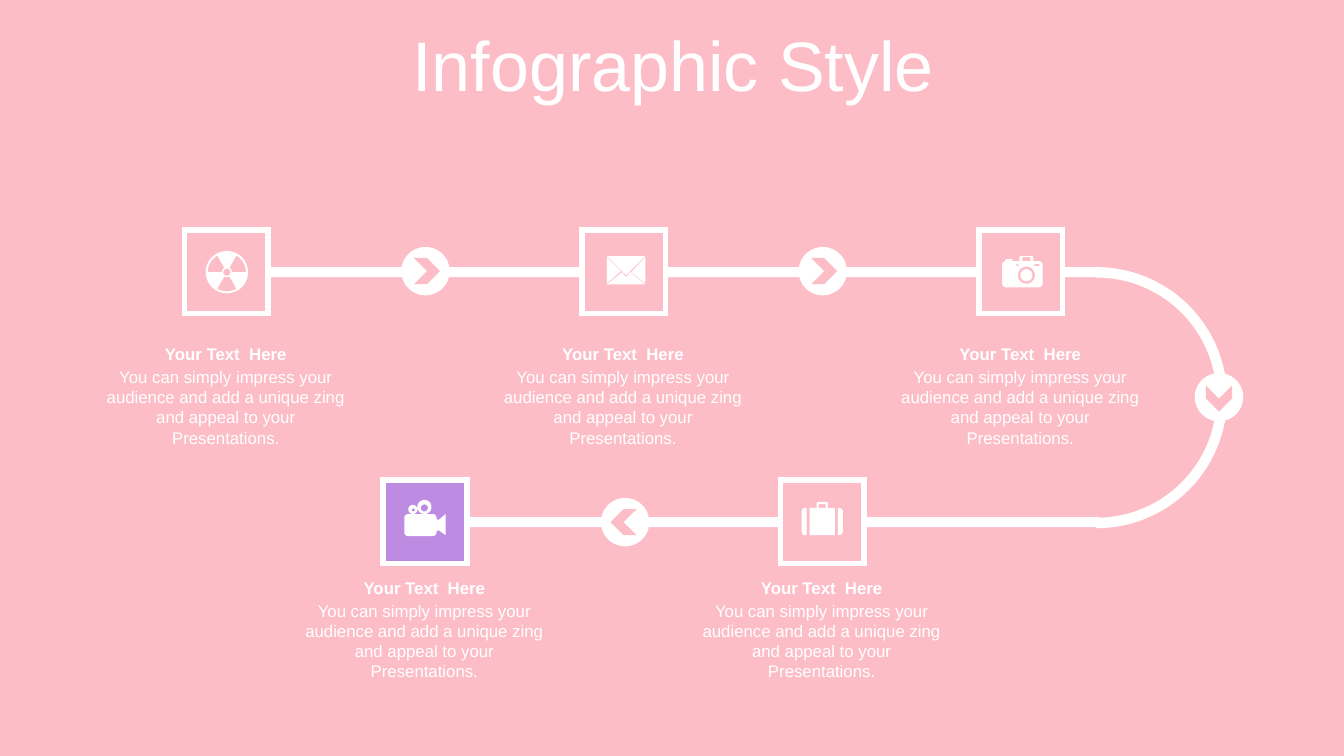
"""Build a winding five-step infographic slide with icons and captions."""
from math import cos, radians, sin

from pptx import Presentation
from pptx.dml.color import RGBColor
from pptx.enum.shapes import MSO_SHAPE as SHAPE
from pptx.enum.text import MSO_ANCHOR as ANCHOR, PP_ALIGN as ALIGN
from pptx.oxml.ns import qn
from pptx.util import Inches, Pt

PINK = RGBColor(0xFD, 0xBD, 0xC7)
WHITE = RGBColor(0xFF, 0xFF, 0xFF)
PURPLE = RGBColor(0xBE, 0x8B, 0xE2)


def arc(cx, cy, radius, start=0, end=360):
    steps = max(2, abs(end - start) // 10)
    angles = [radians(start + (end - start) * i / steps) for i in range(steps + 1)]
    return [(cx + radius * cos(a), cy + radius * sin(a)) for a in angles]


def box(x, y, w, h):
    return [(x, y), (x + w, y), (x + w, y + h), (x, y + h)]


RADIATION = [arc(42, 42, 21), arc(42, 42, 3.5)] + [
    arc(42, 42, 19, a, a + 60) + arc(42, 42, 5, a + 60, a) for a in (60, 180, 300)]
ENVELOPE = [
    [(48, 42), (63, 54), (25, 54), (40, 42), (44, 47)],
    [(63, 27), (63, 53), (49, 42)],
    [(25, 27), (39, 41), (25, 53)],
    [(25, 26), (63, 26), (44, 45)],
]
CAMERA = [
    [(23, 34), (24, 32), (26, 31), (26, 30), (27, 29), (33, 29), (33, 31), (40, 31),
     (40, 27), (41, 26), (53, 26), (54, 27), (54, 31), (60, 31), (62, 32), (63, 34),
     (63, 54), (62, 56), (60, 57), (26, 57), (24, 56), (23, 54)],
    box(43, 27, 8, 4), box(37, 34, 2, 2), box(55, 34, 5, 2),
    arc(47, 45, 8.5), arc(47, 45, 6),
]
CAMCORDER = [
    arc(25, 38, 4, 180, 270) + arc(49, 38, 4, 270, 360)
    + [(53, 39), (55, 40), (62, 34), (62, 55), (55, 50), (53, 51)]
    + arc(49, 52, 4, 0, 90) + arc(25, 52, 4, 90, 180),
    arc(41, 27, 7), arc(41, 28, 3.5), arc(29.5, 29.5, 4.5), arc(30, 30, 1.5),
]
SUITCASE = [
    [(57, 28), (59, 28), (61, 29), (62, 31), (62, 51), (61, 54), (59, 55), (57, 55)],
    [(26, 28), (24, 28), (22, 29), (21, 31), (21, 51), (22, 54), (24, 55), (26, 55)],
    [(29, 28), (36, 28), (36, 23), (37, 22), (46, 22), (47, 23), (47, 28), (54, 28),
     (54, 55), (29, 55)],
    [(38, 28), (38, 25), (39, 24), (44, 24), (45, 25), (45, 28)],
]

TITLE = "Infographic Style"
HEADING = "Your Text  Here"
BODY = ("You can simply impress your audience and add a unique zing "
        "and appeal to your Presentations.")
COLUMN_STEP, TILE = 3.94, 0.83
ROWS = [
    (1.83, 2.28, 3.36, [(RADIATION, PINK), (ENVELOPE, PINK), (CAMERA, PINK)]),
    (3.80, 4.76, 5.68, [(CAMCORDER, PURPLE), (SUITCASE, PINK)]),
]
BARS = [(2.66, 2.65, 8.27), (4.64, 5.13, 6.26)]
ARROWS = [(4.22, 2.69, 0), (8.16, 2.69, 0), (12.09, 3.94, 90), (6.2, 5.18, 180)]


def add_shape(s, kind, x, y, w, h, color):
    sp = s.shapes.add_shape(kind, Inches(x), Inches(y), Inches(w), Inches(h))
    paint(sp, color)
    return sp


def paint(sp, color):
    sp.shadow.inherit = False
    sp.fill.solid()
    sp.fill.fore_color.rgb = color
    sp.line.fill.background()


def add_text(s, text, x, y, w, h, size=12, bold=False):
    tf = s.shapes.add_textbox(Inches(x), Inches(y), Inches(w), Inches(h)).text_frame
    tf.word_wrap = True
    p = tf.paragraphs[0]
    p.text = text
    p.alignment = ALIGN.CENTER
    p.font.name, p.font.size, p.font.bold = "Arial", Pt(size), bold
    p.font.color.rgb = WHITE
    return tf


def add_icon(s, contours, left, top):
    points = [[(Inches(left + x / 100), Inches(top + y / 100)) for x, y in c]
              for c in contours]
    builder = s.shapes.build_freeform(*points[0][0])
    for i, contour in enumerate(points):
        if i:
            builder.move_to(*contour[0])
        builder.add_line_segments(contour[1:], close=True)
    paint(builder.convert_to_shape(), WHITE)


def add_tile(s, left, top, color):
    sp = add_shape(s, SHAPE.RECTANGLE, left, top, TILE, TILE, color)
    sp.line.color.rgb = WHITE
    sp.line.width = Pt(4)
    ln = sp.line._get_or_add_ln()
    ln.append(ln.makeelement(qn("a:miter"), {"lim": "800000"}))


def add_arrow(s, cx, cy, angle):
    add_shape(s, SHAPE.OVAL, cx - 0.24, cy - 0.24, 0.48, 0.48, WHITE)
    x = cx + 0.015 * cos(radians(angle))
    y = cy + 0.015 * sin(radians(angle))
    chevron = add_shape(s, SHAPE.CHEVRON, x - 0.13, y - 0.13, 0.26, 0.26, PINK)
    chevron.rotation = angle


def main():
    prs = Presentation()
    prs.slide_width, prs.slide_height = Inches(13.33), Inches(7.5)
    s = prs.slides.add_slide(prs.slide_layouts[6])
    s.background.fill.solid()
    s.background.fill.fore_color.rgb = PINK

    tf = add_text(s, TITLE, 0.35, 0.31, 12.66, 0.79, size=50)
    tf.vertical_anchor = ANCHOR.MIDDLE
    tf.paragraphs[0].line_spacing = 0.8
    tf.paragraphs[0].space_before = Pt(10)

    bend = add_shape(s, SHAPE.BLOCK_ARC, 9.58, 2.65, 2.59, 2.59, WHITE)
    for i, value in enumerate((162, 54, 0.04)):
        bend.adjustments[i] = value
    for x, y, w in BARS:
        add_shape(s, SHAPE.RECTANGLE, x, y, w, 0.1, WHITE)
    for cx, cy, angle in ARROWS:
        add_arrow(s, cx, cy, angle)

    for first_left, top, text_top, steps in ROWS:
        for i, (icon, color) in enumerate(steps):
            left = first_left + i * COLUMN_STEP
            add_tile(s, left, top, color)
            add_icon(s, icon, left, top)
            add_text(s, BODY, left - 0.89, text_top + 0.23, 2.6, 0.91)
            add_text(s, HEADING, left - 0.89, text_top, 2.6, 0.3, bold=True)

    prs.save("out.pptx")


if __name__ == "__main__":
    main()
